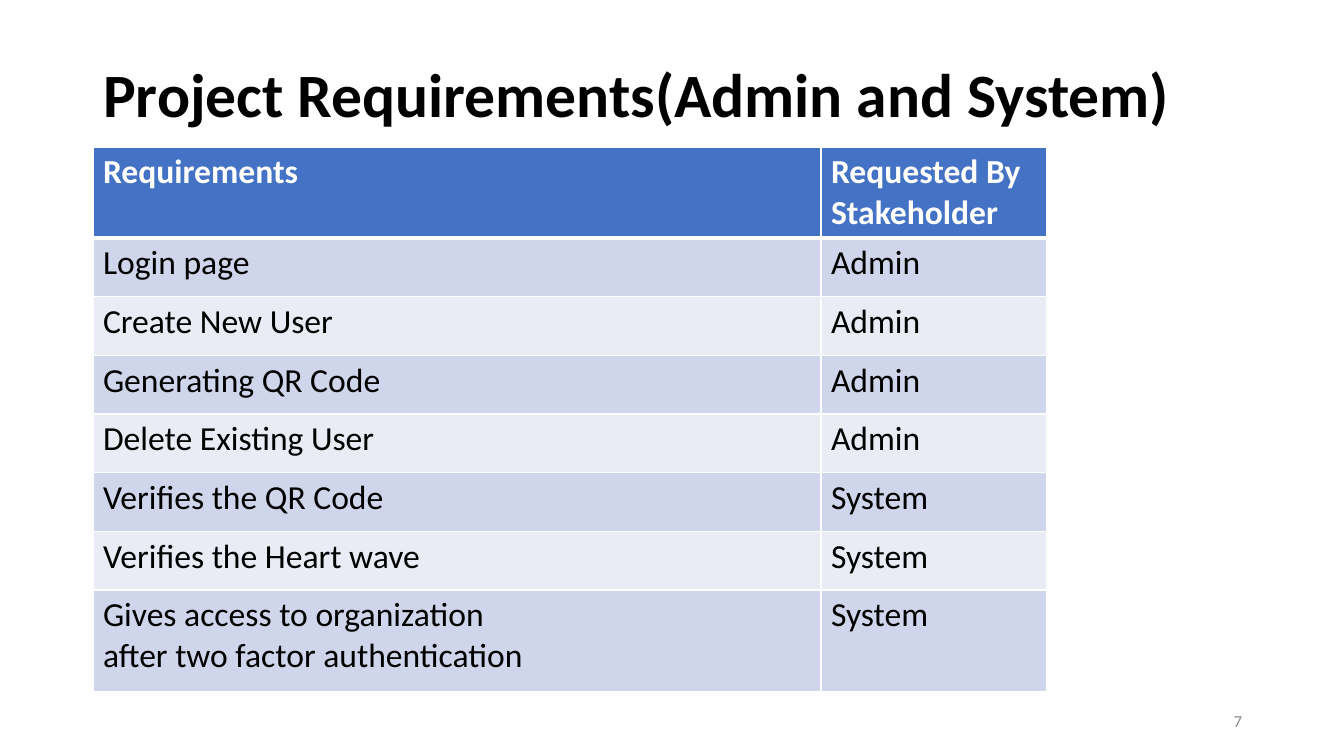
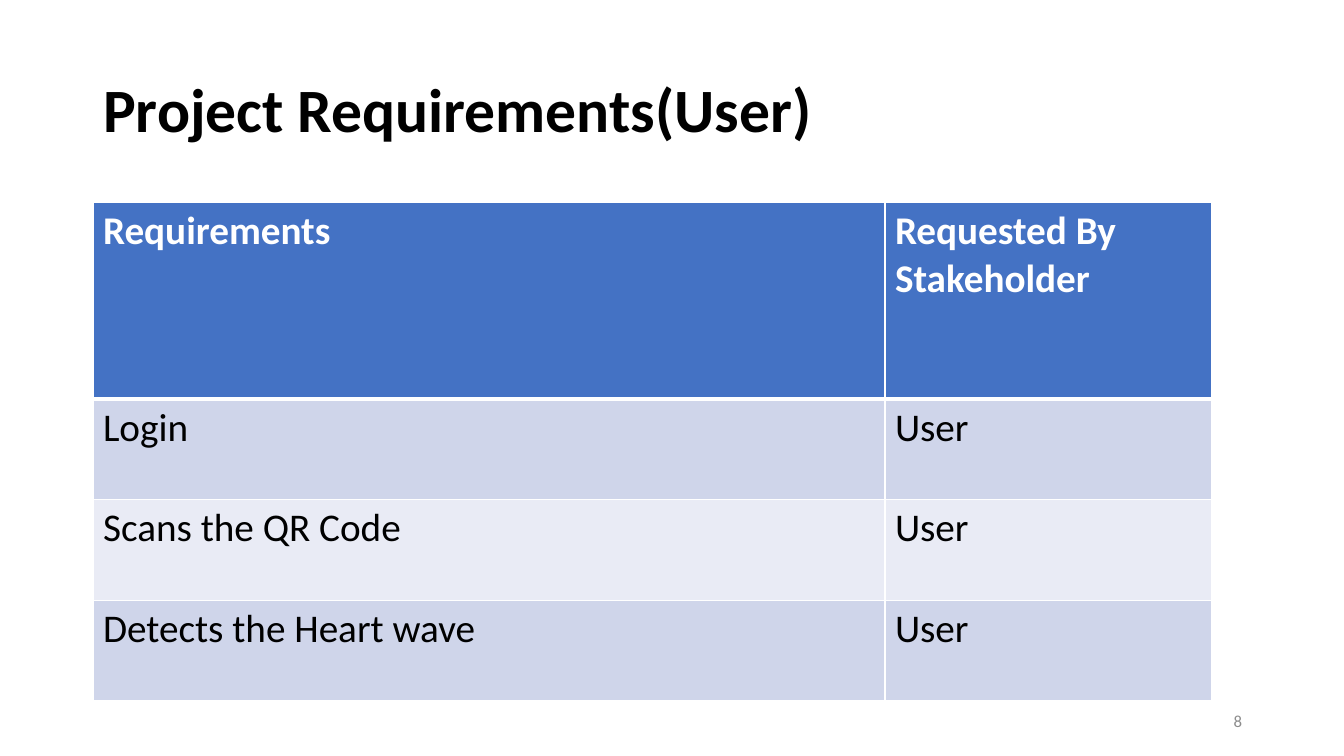
from lxml.etree import SubElement
from pptx import Presentation
from pptx.dml.color import RGBColor
from pptx.enum.text import MSO_ANCHOR, MSO_AUTO_SIZE, PP_ALIGN
from pptx.oxml.ns import qn
from pptx.util import Emu, Pt

# Shared style
FONT = "Calibri"
BLACK, WHITE, GREY = "000000", "FFFFFF", "8C8C8C"
BLUE, BANDS = "4472C4", ("CFD5EA", "E9EBF5")
LEFT = 93
HEADS = ("Requirements", "Requested By Stakeholder")


def px(n):
    return Emu(round(n * 914400 / 100.8))


def color(code):
    return RGBColor.from_string(code)


def place(shape, box):
    shape.left, shape.top, shape.width, shape.height = map(px, box)


def style(frame, size, code, bold=False, align=PP_ALIGN.LEFT):
    for para in frame.paragraphs:
        para.alignment = align
        font = para.font
        font.name, font.size, font.bold = FONT, Pt(size), bold
        font.color.rgb = color(code)


def add_title(slide, text, box):
    title = slide.shapes.title
    place(title, box)
    frame = title.text_frame
    frame.text = text
    frame.word_wrap = True
    frame.auto_size = MSO_AUTO_SIZE.NONE
    frame.vertical_anchor = MSO_ANCHOR.MIDDLE
    style(frame, 44, BLACK, bold=True)
    frame.paragraphs[0].line_spacing = 0.9


def add_number(slide, number, box):
    frame = slide.shapes.add_textbox(*map(px, box)).text_frame
    frame.text = str(number)
    frame.word_wrap = True
    frame.vertical_anchor = MSO_ANCHOR.MIDDLE
    style(frame, 12, GREY, align=PP_ALIGN.RIGHT)


def add_edges(cell, row):
    # The rule below the header is thicker than the others
    widths = {"L": 1, "R": 1, "T": 3 if row == 1 else 1, "B": 3 if row == 0 else 1}
    props = cell._tc.get_or_add_tcPr()
    for side, width in widths.items():
        line = SubElement(props, qn("a:ln" + side), w=str(Pt(width)))
        fill = SubElement(line, qn("a:solidFill"))
        SubElement(fill, qn("a:srgbClr"), val=WHITE)


def add_grid(slide, rows, box, side, head, size, tail=None):
    """Side is the width of the last column; head and tail are row heights."""
    width, height = box[2:]
    rows = [HEADS, *rows]
    grid = slide.shapes.add_table(len(rows), 2, *map(px, box)).table
    grid.columns[0].width, grid.columns[1].width = px(width - side), px(side)

    # Rows between the fixed ones share the height left over
    fixed = [head] if tail is None else [head, tail]
    even = (height - sum(fixed)) / (len(rows) - len(fixed))
    tall = [even] * len(rows)
    tall[0] = head
    if tail is not None:
        tall[-1] = tail

    for r, texts in enumerate(rows):
        grid.rows[r].height = px(tall[r])
        for c, text in enumerate(texts):
            cell = grid.cell(r, c)
            add_edges(cell, r)
            cell.fill.solid()
            cell.fill.fore_color.rgb = color(BANDS[(r - 1) % 2] if r else BLUE)
            cell.text = text
            style(cell.text_frame, size, BLACK if r else WHITE, bold=r == 0)


def add_page(deck, title, top, number, rows, **grid):
    slide = deck.slides.add_slide(deck.slide_layouts.get_by_name("Title Only"))
    add_title(slide, title, (LEFT, top, 1159, 146))
    add_number(slide, number, (950, 701, 302, 40))
    add_grid(slide, rows, **grid)


def main():
    deck = Presentation()
    deck.slide_width, deck.slide_height = px(1344), px(756)

    # Admin and system
    tasks = [
        ("Login page", "Admin"),
        ("Create New User", "Admin"),
        ("Generating QR Code", "Admin"),
        ("Delete Existing User", "Admin"),
        ("Verifies the QR Code", "System"),
        ("Verifies the Heart wave", "System"),
        ("Gives access to organization\nafter two factor authentication", "System"),
    ]
    add_page(deck, "Project Requirements(Admin and System)", 25, 7, tasks,
             box=(LEFT, 147, 954, 545), side=226, head=91, size=24, tail=102)

    # User
    tasks = [(task, "User") for task in
             ("Login", "Scans the QR Code", "Detects the Heart wave")]
    add_page(deck, "Project Requirements(User)", 40, 8, tasks,
             box=(LEFT, 202, 1119, 499), side=327, head=197, size=28)

    deck.save("out.pptx")


if __name__ == "__main__":
    main()
